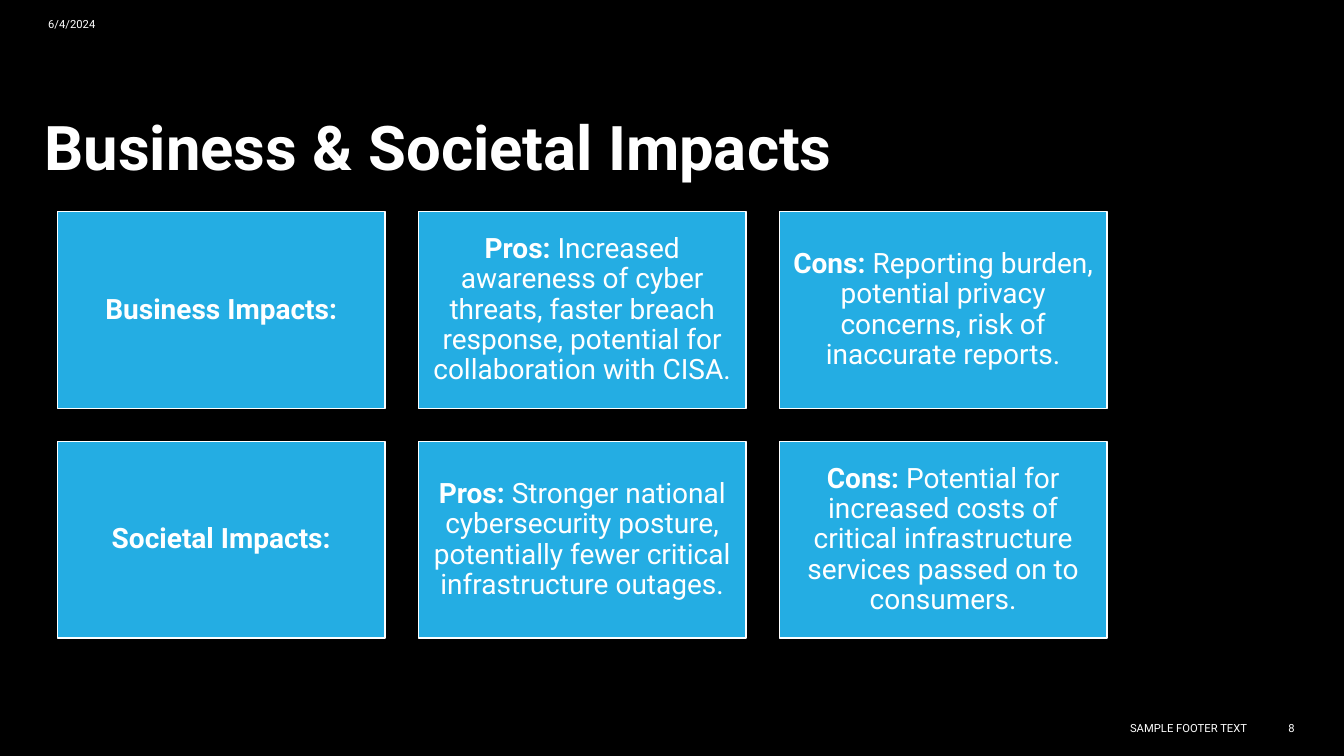
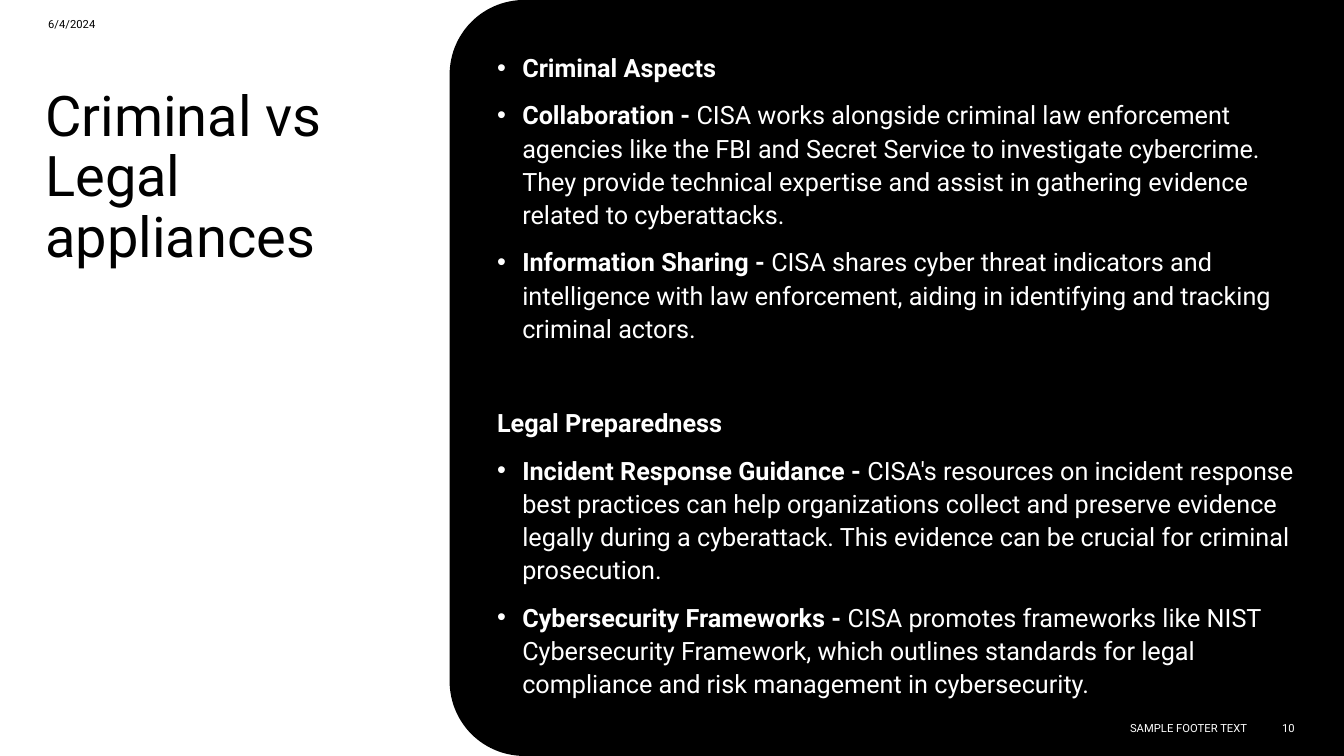
import math

import pptx
import pptx.dml.color
import pptx.enum.shapes
import pptx.enum.text
import pptx.util
from lxml import etree

PX = 9144  # EMU in one px: 100 px to the inch
W, H = 1333, 750
FONT = "Roboto"
BLACK, WHITE, BLUE = "000000", "FFFFFF", "24ADE3"
ALIGN = pptx.enum.text.PP_ALIGN
ANCHOR = pptx.enum.text.MSO_ANCHOR
RECTANGLE = pptx.enum.shapes.MSO_SHAPE.RECTANGLE


def paint(sp, color):
    """Give a shape a plain fill, without shadow or line."""
    sp.shadow.inherit = False
    sp.fill.solid()
    sp.fill.fore_color.rgb = pptx.dml.color.RGBColor.from_string(color)
    sp.line.fill.background()


def write(p, lead, rest, size, color, align=ALIGN.LEFT, spacing=1.0):
    """Fill a paragraph with a bold lead and a regular rest; either may be empty."""
    p.alignment, p.line_spacing = align, spacing
    p.font.name, p.font.size = FONT, pptx.util.Pt(size)
    p.font.color.rgb = pptx.dml.color.RGBColor.from_string(color)
    for text, bold in ((lead, True), (rest, False)):
        if text:
            r = p.add_run()
            r.text, r.font.bold = text, bold


prs = pptx.Presentation()
prs.slide_width, prs.slide_height = W * PX, H * PX
TITLE_AND_CONTENT, TITLE_ONLY = prs.slide_layouts[1], prs.slide_layouts[5]

# layout, title (lead, rest), title size, colour, anchor, box, slide number
pages = [
    (TITLE_ONLY, ("Business & Societal Impacts", ""), 44, WHITE,
     ANCHOR.BOTTOM, (34, 30, 1089, 157), "8"),
    (TITLE_AND_CONTENT, ("", "Criminal vs Legal appliances"), 40, BLACK,
     ANCHOR.TOP, (35, 82, 353, 595), "10"),
]

# Business and societal impacts: a grid of cards
cards = [
    [("Business Impacts:", ""),
     ("Pros:", " Increased awareness of cyber threats, faster breach response, "
               "potential for collaboration with CISA."),
     ("Cons:", " Reporting burden, potential privacy concerns, risk of inaccurate reports.")],
    [("Societal Impacts:", ""),
     ("Pros:", " Stronger national cybersecurity posture, potentially fewer critical "
               "infrastructure outages."),
     ("Cons:", " Potential for increased costs of critical infrastructure services "
               "passed on to consumers.")],
]
CARD_LEFT, CARD_TOP, CARD_W, CARD_H, GAP = 57, 210, 325, 195, 33

# Criminal and legal points: lead, rest, bulleted, space before in points
points = [
    ("Criminal Aspects", "", True, 10),
    ("Collaboration - ",
     "CISA works alongside criminal law enforcement agencies like the FBI and Secret "
     "Service to investigate cybercrime. They provide technical expertise and assist in "
     "gathering evidence related to cyberattacks.", True, 10),
    ("Information Sharing - ",
     "CISA shares cyber threat indicators and intelligence with law enforcement, aiding "
     "in identifying and tracking criminal actors.", True, 10),
    ("Legal Preparedness", "", False, 43.7),
    ("Incident Response Guidance - ",
     "CISA's resources on incident response best practices can help organizations collect "
     "and preserve evidence legally during a cyberattack. This evidence can be crucial for "
     "criminal prosecution.", True, 10),
    ("Cybersecurity Frameworks - ",
     "CISA promotes frameworks like NIST Cybersecurity Framework, which outlines standards "
     "for legal compliance and risk management in cybersecurity.", True, 10),
]
PANEL_LEFT, PANEL_RADIUS, BULLET_INDENT = 446, 74, 25

for layout, title, size, color, anchor, box, number in pages:
    s = prs.slides.add_slide(layout)
    s.background.fill.solid()
    s.background.fill.fore_color.rgb = pptx.dml.color.RGBColor.from_string(BLACK)

    sp = s.shapes.title
    sp.left, sp.top, sp.width, sp.height = (v * PX for v in box)
    tf = sp.text_frame
    tf.auto_size = pptx.enum.text.MSO_AUTO_SIZE.NONE
    tf.vertical_anchor = anchor
    write(tf.paragraphs[0], *title, size, color, spacing=0.9)

    if layout is TITLE_ONLY:
        for row, row_cards in enumerate(cards):
            for col, (lead, rest) in enumerate(row_cards):
                sp = s.shapes.add_shape(
                    RECTANGLE,
                    (CARD_LEFT + col * (CARD_W + GAP)) * PX,
                    (CARD_TOP + row * (CARD_H + GAP)) * PX,
                    CARD_W * PX, CARD_H * PX)
                paint(sp, BLUE)
                sp.line.color.rgb = pptx.dml.color.RGBColor.from_string(WHITE)
                sp.line.width = pptx.util.Pt(1)
                tf = sp.text_frame
                tf.word_wrap, tf.vertical_anchor = True, ANCHOR.MIDDLE
                tf.margin_left = tf.margin_right = tf.margin_top = tf.margin_bottom = 8 * PX
                write(tf.paragraphs[0], lead, rest, 20, WHITE, ALIGN.CENTER, 0.9)
    else:
        backdrop = s.shapes.add_shape(RECTANGLE, 0, 0, prs.slide_width, prs.slide_height)
        paint(backdrop, WHITE)
        s.shapes.title._element.addprevious(backdrop._element)  # behind the title

        # Panel outline: right edge, then the two rounded corners on the left
        outline = [(W, 0), (W, H)]
        for center_y, start in ((H - PANEL_RADIUS, 90), (PANEL_RADIUS, 180)):
            for degrees in range(start, start + 91, 3):
                angle = math.radians(degrees)
                outline.append((PANEL_LEFT + PANEL_RADIUS * (1 + math.cos(angle)),
                                center_y + PANEL_RADIUS * math.sin(angle)))
        corners = [(round(x * PX), round(y * PX)) for x, y in outline]
        builder = s.shapes.build_freeform(*corners[0], scale=1.0)
        builder.add_line_segments(corners[1:])
        panel = builder.convert_to_shape()
        paint(panel, BLACK)

        body = s.placeholders[1]
        panel._element.addnext(body._element)  # in front of the panel
        body.left, body.top, body.width, body.height = (v * PX for v in (483, 44, 812, 595))
        tf = body.text_frame
        tf.auto_size = pptx.enum.text.MSO_AUTO_SIZE.NONE
        for i, (lead, rest, bulleted, before) in enumerate(points):
            p = tf.add_paragraph() if i else tf.paragraphs[0]
            write(p, lead, rest, 18, WHITE, spacing=1.1)
            p.space_before = pptx.util.Pt(before)
            pPr = p._p.get_or_add_pPr()
            indent = BULLET_INDENT * PX if bulleted else 0
            pPr.set("marL", str(indent))
            pPr.set("indent", str(-indent))
            bullet = etree.Element(pptx.oxml.ns.qn("a:buChar" if bulleted else "a:buNone"))
            if bulleted:
                bullet.set("char", "•")
            pPr.find(pptx.oxml.ns.qn("a:defRPr")).addprevious(bullet)

    for text, small_color, align, (x, y, w, h) in (
            ("6/4/2024", color, ALIGN.LEFT, (38, 6, 300, 35)),
            ("SAMPLE FOOTER TEXT", WHITE, ALIGN.RIGHT, (803, 702, 444, 40)),
            (number, WHITE, ALIGN.RIGHT, (1247, 702, 47, 40))):
        tf = s.shapes.add_textbox(x * PX, y * PX, w * PX, h * PX).text_frame
        tf.word_wrap, tf.vertical_anchor = True, ANCHOR.MIDDLE
        write(tf.paragraphs[0], "", text, 8, small_color, align)

prs.save("out.pptx")
